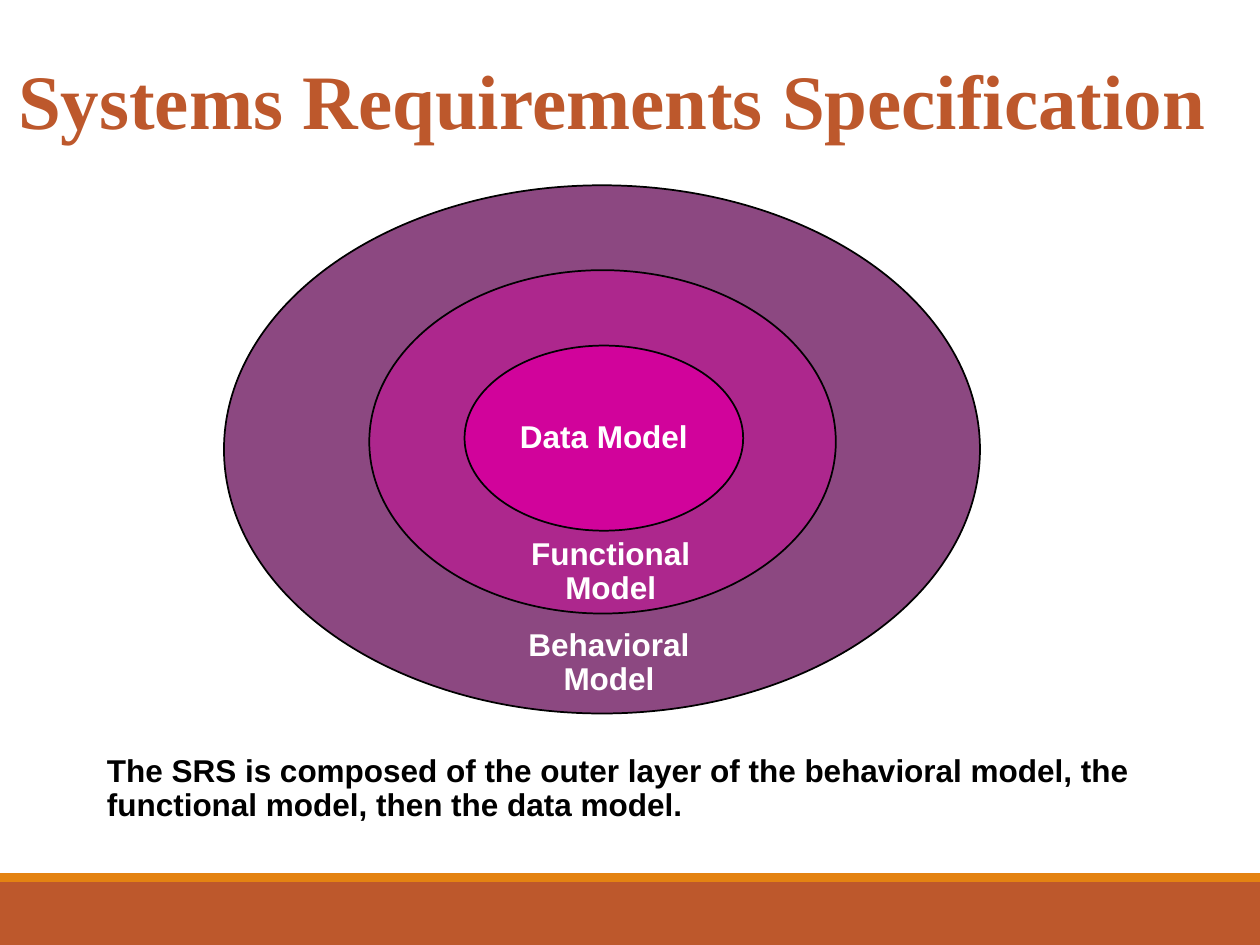
from pptx import Presentation
from pptx.dml.color import RGBColor
from pptx.enum.shapes import MSO_SHAPE as Shape
from pptx.enum.text import MSO_ANCHOR as Anchor, PP_ALIGN as Align
from pptx.util import Pt

WIDTH, HEIGHT = 720, 540
RUST, ORANGE, WHITE, BLACK = "BD582C", "E48312", "FFFFFF", "000000"


def color(hex_text):
    """Return the colour for a hex string."""
    return RGBColor.from_string(hex_text)


def place(shape, box):
    """Move and size a shape to a box in points."""
    shape.left, shape.top, shape.width, shape.height = map(Pt, box)


def write(shape, lines, size, font, ink, align=Align.CENTER, anchor=Anchor.TOP,
          wrap=False, spacing=0.9, before=0, margins=(7.2, 3.6)):
    """Write one formatted paragraph for each line into a shape."""
    frame = shape.text_frame
    frame.word_wrap = wrap
    frame.vertical_anchor = anchor
    frame.margin_left = frame.margin_right = Pt(margins[0])
    frame.margin_top = frame.margin_bottom = Pt(margins[1])
    for index, line in enumerate(lines):
        paragraph = frame.add_paragraph() if index else frame.paragraphs[0]
        paragraph.alignment = align
        paragraph.line_spacing = spacing
        paragraph.space_before = Pt(before)
        run = paragraph.add_run()
        run.text = line
        run.font.size = Pt(size)
        run.font.name = font
        run.font.bold = True
        run.font.color.rgb = color(ink)


def add_filled(slide, kind, box, fill, outline=None):
    """Add a filled preset shape with an optional thin outline."""
    shape = slide.shapes.add_shape(kind, *map(Pt, box))
    shape.shadow.inherit = False
    shape.fill.solid()
    shape.fill.fore_color.rgb = color(fill)
    if outline:
        shape.line.color.rgb = color(outline)
        shape.line.width = Pt(1)
    else:
        shape.line.fill.background()
    return shape


def add_label(slide, box, lines, ink, **style):
    """Add a text box in the body font."""
    label = slide.shapes.add_textbox(*map(Pt, box))
    write(label, lines, 18, "Arial", ink, **style)


def add_footer(slide, box):
    """Add the footer band with its accent stripe on top."""
    left, top, width, height = box
    stripe = 5
    add_filled(slide, Shape.RECTANGLE,
               (left, top + stripe, width, height - stripe), RUST)
    add_filled(slide, Shape.RECTANGLE, (left, top, width, stripe), ORANGE)


def add_title(slide, box):
    """Place and format the title placeholder."""
    title = slide.shapes.title
    place(title, box)
    write(title, ["Systems Requirements Specification"], 44,
          "Times New Roman", RUST, spacing=1.0, margins=(5, 2.2))


def add_model_layers(slide, box):
    """Add the nested model ellipses and their labels."""
    left, top, width, height = box
    layers = [
        (0, 0, width, height, "8C4881"),
        (83, 48.5, 266.6, 196.2, "AD278D"),
        (137.5, 91.6, 159.2, 105.8, "D1039B"),
    ]
    for x, y, layer_width, layer_height, fill in layers:
        ellipse = add_filled(slide, Shape.OVAL,
                             (left + x, top + y, layer_width, layer_height),
                             fill, BLACK)
    write(ellipse, ["Data Model"], 18, "Arial", WHITE, anchor=Anchor.MIDDLE)
    for name, x, y in [("Behavioral", 160, 250), ("Functional", 161, 198)]:
        add_label(slide, (left + x, top + y, 120, 46), [name, "Model"], WHITE)


def add_summary(slide, box):
    """Add the sentence that sums up the layers."""
    add_label(slide, box, [
        "The SRS is composed of the outer layer of the behavioral model, "
        "the functional model, then the data model."],
        BLACK, align=Align.LEFT, wrap=True, before=11.2)


def main():
    """Build and save the presentation."""
    presentation = Presentation()
    presentation.slide_width, presentation.slide_height = Pt(WIDTH), Pt(HEIGHT)
    slide = presentation.slides.add_slide(presentation.slide_layouts[5])
    add_footer(slide, (0, 499, WIDTH, 41))
    add_title(slide, (5, 28, 690, 57))
    add_model_layers(slide, (128, 105.9, 432, 301.8))
    add_summary(slide, (54, 428, 611, 46))
    presentation.save("out.pptx")


if __name__ == "__main__":
    main()
